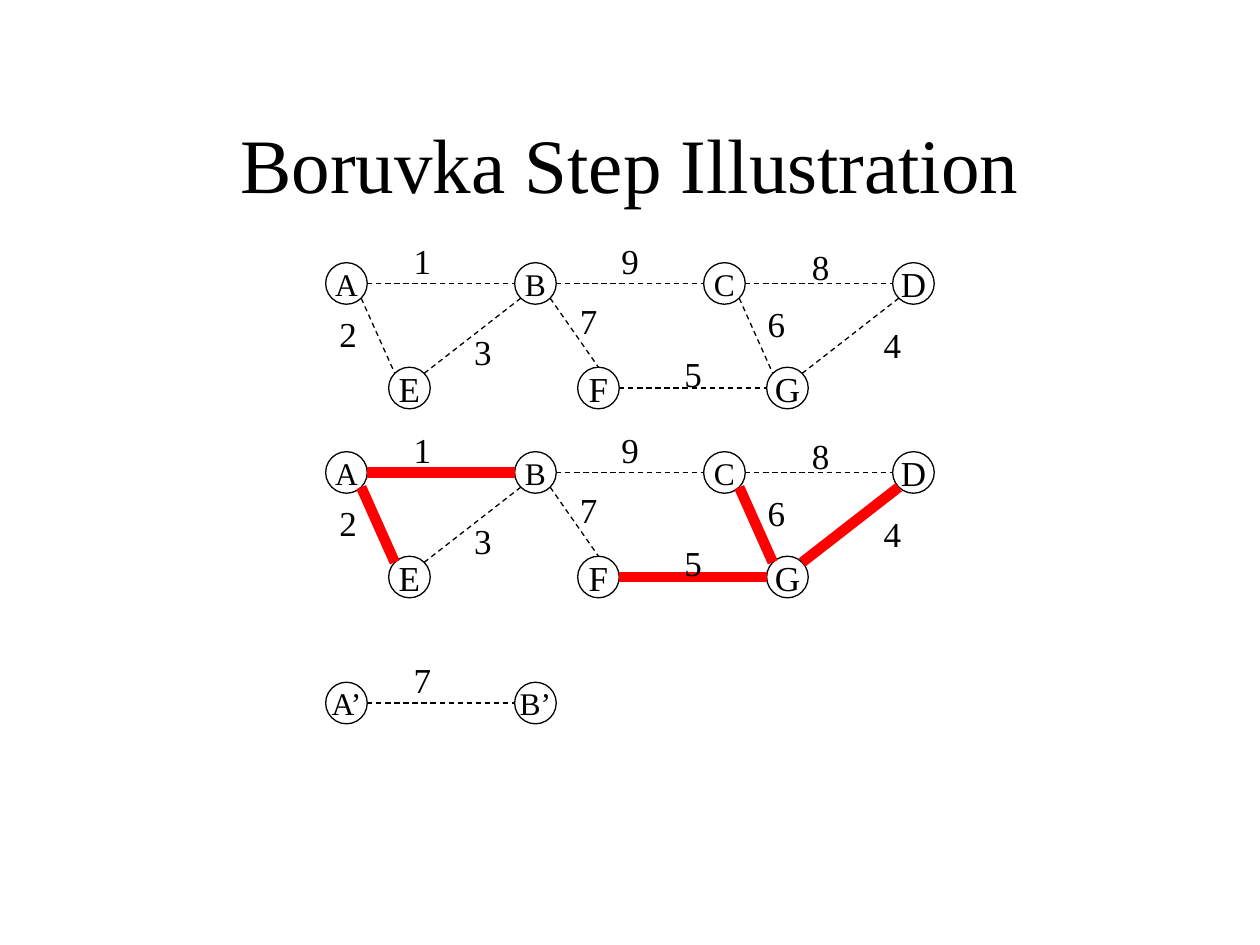
import dataclasses
import math

import pptx
import pptx.dml.color
import pptx.enum.dml
import pptx.enum.shapes
import pptx.enum.text
import pptx.oxml.ns
import pptx.util
from pptx.util import Inches

Align = pptx.enum.text.PP_ALIGN
Anchor = pptx.enum.text.MSO_ANCHOR
AutoSize = pptx.enum.text.MSO_AUTO_SIZE


@dataclasses.dataclass(frozen=True)
class Theme:
    font: str = "Times New Roman"
    ink: str = "000000"
    chosen: str = "FF0000"
    title_size: int = 44
    label_size: int = 20
    small_size: int = 18
    thin: float = 0.75
    thick: float = 6
    diameter: float = 0.33


THEME = Theme()

RIGHT, LOWER_RIGHT, LOWER_LEFT, LEFT = 0, 45, 135, 180
UPPER_LEFT, TOP, UPPER_RIGHT = 225, 270, 315

LOWER_ROW = 0.83
SMALL = THEME.small_size
LARGE = THEME.label_size
NODES = {
    "A": (2.75, 0, SMALL),
    "B": (4.25, 0, SMALL),
    "C": (5.75, 0, SMALL),
    "D": (7.25, 0, LARGE),
    "E": (3.25, LOWER_ROW, LARGE),
    "F": (4.75, LOWER_ROW, LARGE),
    "G": (6.25, LOWER_ROW, LARGE),
}
EDGES = [
    ("A", RIGHT, "B", LEFT, "1", 3.18, -0.4),
    ("A", LOWER_RIGHT, "E", UPPER_LEFT, "2", 2.59, 0.18),
    ("E", UPPER_RIGHT, "B", LOWER_LEFT, "3", 3.66, 0.32),
    ("D", LOWER_LEFT, "G", UPPER_RIGHT, "4", 6.91, 0.27),
    ("F", RIGHT, "G", LEFT, "5", 5.33, 0.5),
    ("C", LOWER_RIGHT, "G", UPPER_LEFT, "6", 5.99, 0.1),
    ("B", LOWER_RIGHT, "F", TOP, "7", 4.5, 0.08),
    ("C", RIGHT, "D", LEFT, "8", 6.34, -0.35),
    ("B", RIGHT, "C", LEFT, "9", 4.83, -0.4),
]
MERGED_NODES = {"A’": NODES["A"], "B’": NODES["B"]}
MERGED_EDGES = [("A’", RIGHT, "B’", LEFT, "7", 3.18, -0.4)]


def color(value):
    return pptx.dml.color.RGBColor.from_string(value)


def write_text(frame, text, *, size, align=Align.CENTER, anchor=Anchor.MIDDLE,
               wrap=False, auto_size=AutoSize.NONE):
    frame.word_wrap = wrap
    frame.auto_size = auto_size
    frame.vertical_anchor = anchor
    paragraph = frame.paragraphs[0]
    paragraph.alignment = align
    span = paragraph.add_run()
    span.text = text
    span.font.name = THEME.font
    span.font.size = pptx.util.Pt(size)
    span.font.color.rgb = color(THEME.ink)


def add_title(page, text):
    title = page.shapes.title
    title.left, title.top = Inches(0.75), Inches(0.67)
    title.width, title.height = Inches(8.5), Inches(1.25)
    write_text(title.text_frame, text, size=THEME.title_size, wrap=True)


def add_node(group, name, x, y, size):
    side = THEME.diameter
    node = group.shapes.add_shape(
        pptx.enum.shapes.MSO_SHAPE.OVAL,
        Inches(x - side / 2), Inches(y - side / 2), Inches(side), Inches(side))
    node.shadow.inherit = False
    node.fill.background()
    node.line.color.rgb = color(THEME.ink)
    node.line.width = pptx.util.Pt(THEME.thin)
    write_text(node.text_frame, name, size=size)


def rim_point(x, y, degrees):
    angle = math.radians(degrees)
    radius = THEME.diameter / 2
    return (Inches(x + radius * math.cos(angle)),
            Inches(y + radius * math.sin(angle)))


def add_edge(group, start, end, chosen):
    edge = group.shapes.add_connector(
        pptx.enum.shapes.MSO_CONNECTOR.STRAIGHT, *start, *end)
    edge.line.color.rgb = color(THEME.chosen if chosen else THEME.ink)
    edge.line.width = pptx.util.Pt(THEME.thick if chosen else THEME.thin)
    if not chosen:
        edge.line.dash_style = pptx.enum.dml.MSO_LINE.DASH
    properties = edge._element.spPr
    properties.append(properties.makeelement(pptx.oxml.ns.qn("a:effectLst"), {}))


def add_weight(group, text, left, top):
    box = group.shapes.add_textbox(
        Inches(left), Inches(top), Inches(0.34), Inches(0.44))
    write_text(box.text_frame, text, size=THEME.label_size, align=Align.RIGHT,
               anchor=Anchor.TOP, auto_size=AutoSize.SHAPE_TO_FIT_TEXT)


def add_graph(page, nodes, edges, top_row, chosen=""):
    group = page.shapes.add_group_shape()
    centers = {name: (x, top_row + y) for name, (x, y, _) in nodes.items()}
    for name, (_, _, size) in nodes.items():
        add_node(group, name, *centers[name], size)
    for first, first_side, second, second_side, weight, _, _ in edges:
        add_edge(group, rim_point(*centers[first], first_side),
                 rim_point(*centers[second], second_side), weight in chosen)
    for *_, weight, left, top in edges:
        add_weight(group, weight, left, top_row + top)


def main():
    deck = pptx.Presentation()
    deck.slide_width, deck.slide_height = Inches(10), Inches(7.5)
    page = deck.slides.add_slide(deck.slide_layouts.get_by_name("Title Only"))
    add_title(page, "Boruvka Step Illustration")
    add_graph(page, NODES, EDGES, 2.25)
    add_graph(page, NODES, EDGES, 3.75, chosen="12456")
    add_graph(page, MERGED_NODES, MERGED_EDGES, 5.58)
    deck.save("out.pptx")


if __name__ == "__main__":
    main()
